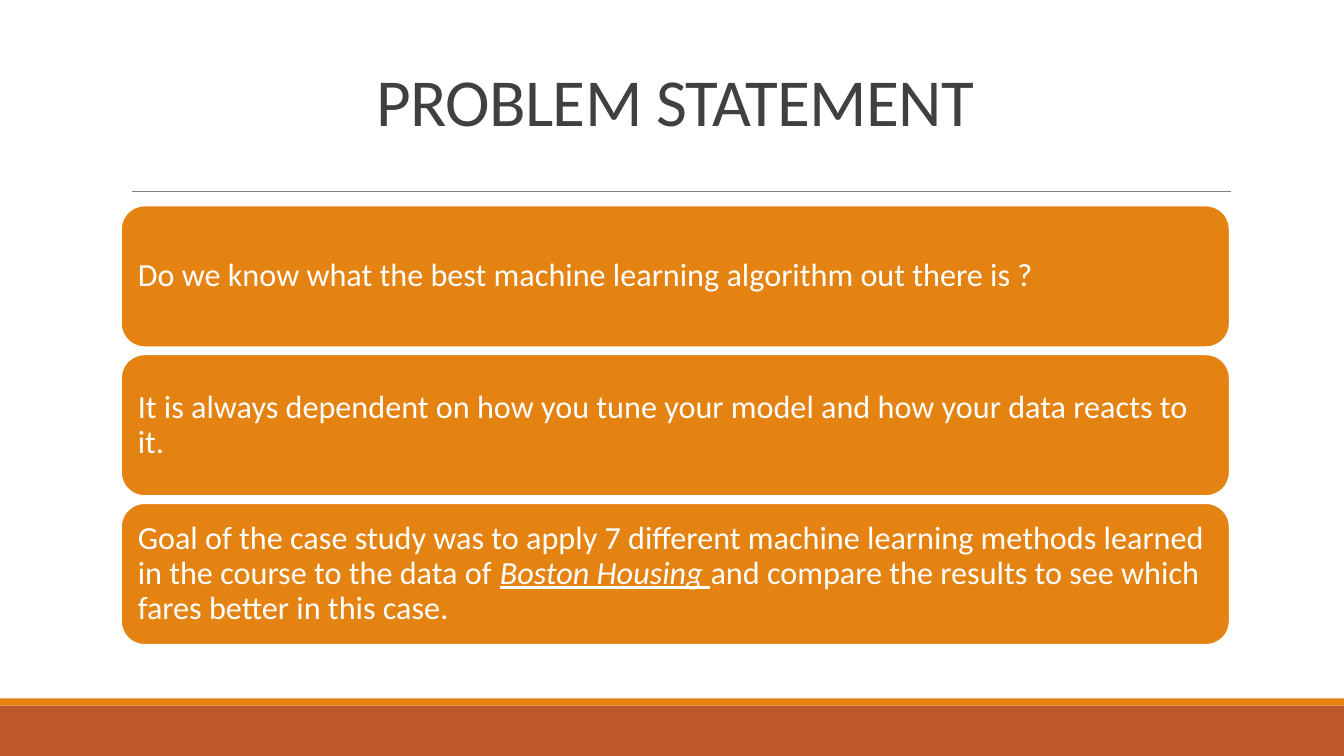
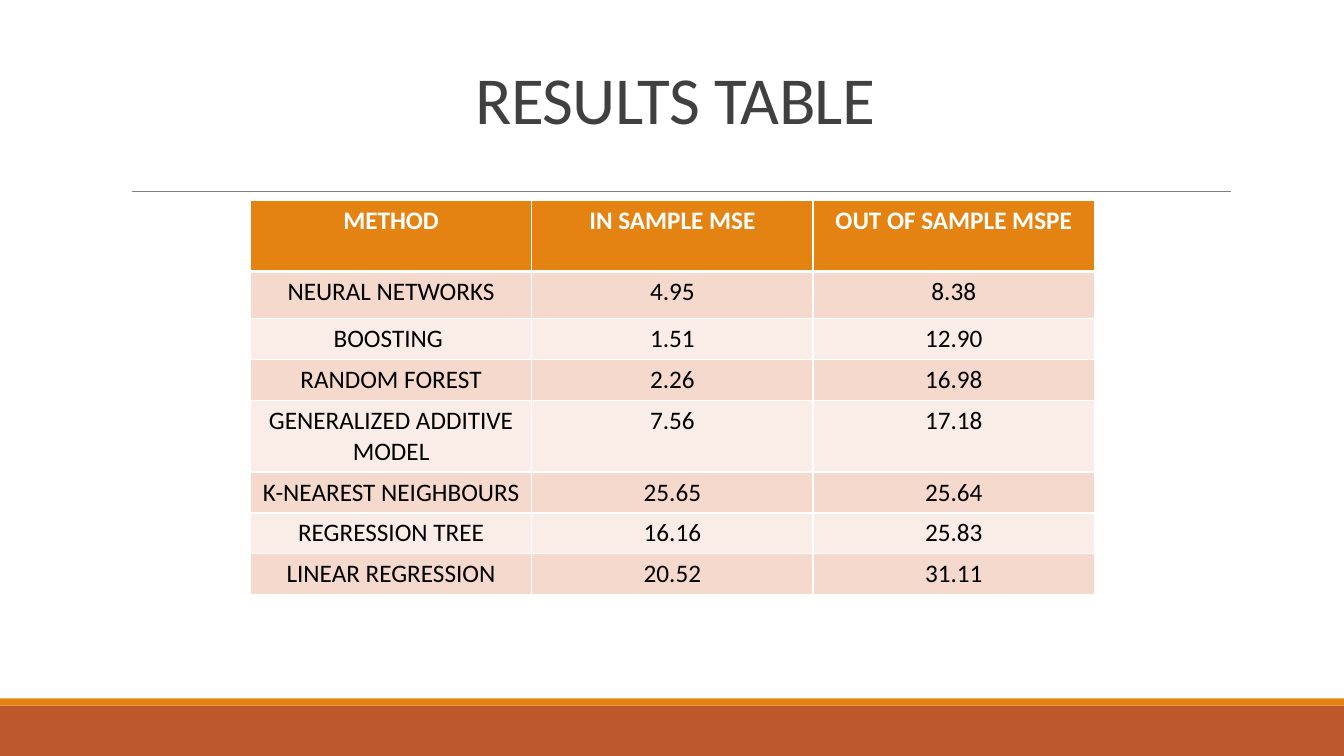
from lxml import etree
from pptx import Presentation
from pptx import util as u
from pptx.dml.color import RGBColor
from pptx.enum import shapes, text
from pptx.oxml.ns import qn

COLORS = {
    "orange": "E48312",
    "rust": "BD582C",
    "rule": "808080",
    "title": "404040",
    "white": "FFFFFF",
    "black": "000000",
    "band_dark": "F5D9CC",
    "band_light": "FAEDE7",
}
FONT = "Calibri"


def rgb(name):
    return RGBColor.from_string(COLORS[name])


def format_runs(paragraph, size, color, bold=False):
    for run in paragraph.runs:
        run.font.name = FONT
        run.font.size = u.Pt(size)
        run.font.bold = bold
        run.font.color.rgb = rgb(color)


presentation = Presentation()
presentation.slide_width = u.Cm(33.87)
presentation.slide_height = u.Cm(19.05)
layout = presentation.slide_layouts.get_by_name("Title Only")

# Slides with their titles
slides = []
for title_text, title_height in (("PROBLEM STATEMENT", 2.87), ("RESULTS TABLE", 2.82)):
    slide = presentation.slides.add_slide(layout)
    title = slide.shapes.title
    title.left, title.top = u.Cm(3.05), u.Cm(0.79)
    title.width, title.height = u.Cm(27.94), u.Cm(title_height)
    title.text_frame.text = title_text
    title.text_frame.auto_size = text.MSO_AUTO_SIZE.NONE
    title.text_frame.vertical_anchor = text.MSO_ANCHOR.BOTTOM
    paragraph = title.text_frame.paragraphs[0]
    paragraph.alignment = text.PP_ALIGN.CENTER
    paragraph.line_spacing = 0.85
    format_runs(paragraph, 48, "title")
    paragraph.runs[0].font._element.set("spc", "-50")
    slides.append(slide)
problem_slide, results_slide = slides

# Footer bands and title rule, moved into the shared layout
for top, height, color in ((17.78, 1.27, "rust"), (17.6, 0.18, "orange")):
    band = problem_slide.shapes.add_shape(
        shapes.MSO_SHAPE.RECTANGLE, 0, u.Cm(top), presentation.slide_width, u.Cm(height))
    band.shadow.inherit = False
    band.fill.solid()
    band.fill.fore_color.rgb = rgb(color)
    band.line.fill.background()
    layout.shapes.element.append(band.element)

rule = problem_slide.shapes.add_connector(
    shapes.MSO_CONNECTOR.STRAIGHT, u.Cm(3.33), u.Cm(4.82), u.Cm(31.01), u.Cm(4.82))
rule.line.color.rgb = rgb("rule")
rule.line.width = u.Pt(0.5)
etree.SubElement(rule.element.spPr, qn("a:effectLst"))
layout.shapes.element.append(rule.element)

# Problem statement: three stacked boxes, each a list of (text, emphasised)
statements = [
    [("Do we know what the best machine learning algorithm out there is ?", False)],
    [("It is always dependent on how you tune your model and how your data "
      "reacts to it.", False)],
    [("Goal of the case study was to apply 7 different machine learning methods "
      "learned in the course to the data of ", False),
     ("Boston Housing ", True),
     ("and compare the results to see which fares better in this case.", False)],
]
for index, statement in enumerate(statements):
    box = problem_slide.shapes.add_shape(
        shapes.MSO_SHAPE.ROUNDED_RECTANGLE,
        u.Cm(3.05), u.Cm(5.18 + 3.75 * index), u.Cm(27.94), u.Cm(3.57))
    box.shadow.inherit = False
    box.fill.solid()
    box.fill.fore_color.rgb = rgb("orange")
    box.line.color.rgb = rgb("white")
    box.line.width = u.Pt(1.25)
    frame = box.text_frame
    frame.word_wrap = True
    frame.vertical_anchor = text.MSO_ANCHOR.MIDDLE
    frame.margin_left = frame.margin_right = u.Cm(0.25)
    frame.margin_top = frame.margin_bottom = u.Cm(0.25)
    paragraph = frame.paragraphs[0]
    paragraph.alignment = text.PP_ALIGN.LEFT
    paragraph.line_spacing = 0.9
    for words, emphasised in statement:
        run = paragraph.add_run()
        run.text = words
        run.font.italic = run.font.underline = emphasised
    format_runs(paragraph, 23, "white")

# Results table
results = [
    ("METHOD", "IN SAMPLE MSE", "OUT OF SAMPLE MSPE"),
    ("NEURAL NETWORKS", "4.95", "8.38"),
    ("BOOSTING ", "1.51", "12.90"),
    ("RANDOM FOREST", "2.26", "16.98"),
    ("GENERALIZED ADDITIVE MODEL", "7.56", "17.18"),
    ("K-NEAREST NEIGHBOURS", "25.65", "25.64"),
    ("REGRESSION TREE", "16.16", "25.83"),
    ("LINEAR REGRESSION", "20.52", "31.11"),
]
row_heights = [1.78, 1.19] + [1.03] * 6
table = results_slide.shapes.add_table(
    len(results), 3, u.Cm(6.31), u.Cm(5.06), u.Cm(21.26), u.Cm(sum(row_heights))).table
for column in table.columns:
    column.width = u.Cm(7.09)

for row_index, values in enumerate(results):
    table.rows[row_index].height = u.Cm(row_heights[row_index])
    is_header = row_index == 0
    fill = "orange" if is_header else ("band_light", "band_dark")[row_index % 2]
    for column_index, value in enumerate(values):
        cell = table.cell(row_index, column_index)
        cell.text_frame.text = value
        paragraph = cell.text_frame.paragraphs[0]
        paragraph.alignment = text.PP_ALIGN.CENTER
        format_runs(paragraph, 18, "white" if is_header else "black", is_header)

        # Borders come before the fill in the cell properties
        properties = cell._tc.get_or_add_tcPr()
        for side in "LRTB":
            thick = (is_header and side == "B") or (row_index == 1 and side == "T")
            border = etree.SubElement(
                properties, qn(f"a:ln{side}"), w=str(u.Pt(3 if thick else 1)))
            border_fill = etree.SubElement(border, qn("a:solidFill"))
            etree.SubElement(border_fill, qn("a:srgbClr"), val=COLORS["white"])
        cell.fill.solid()
        cell.fill.fore_color.rgb = rgb(fill)

presentation.save("out.pptx")
